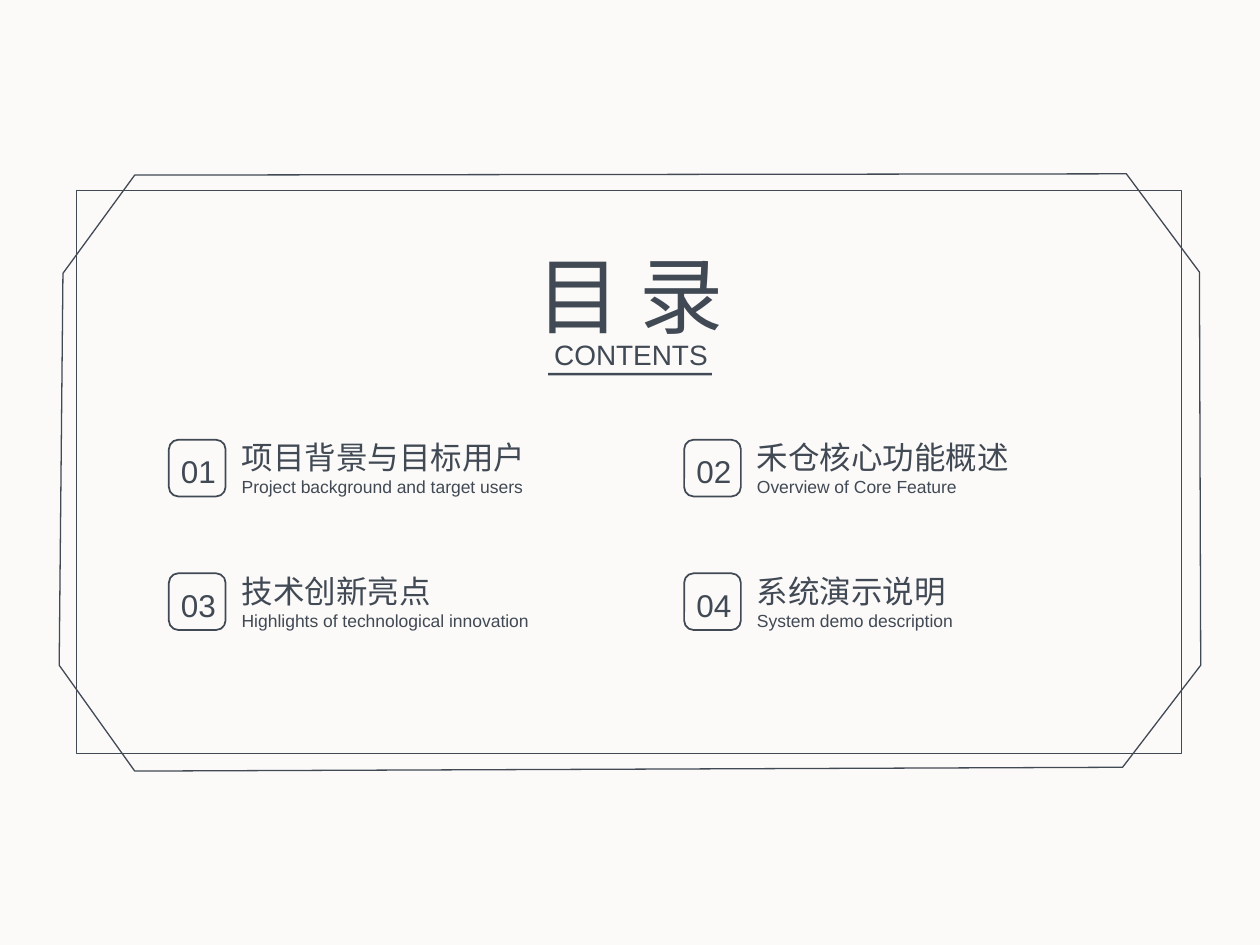
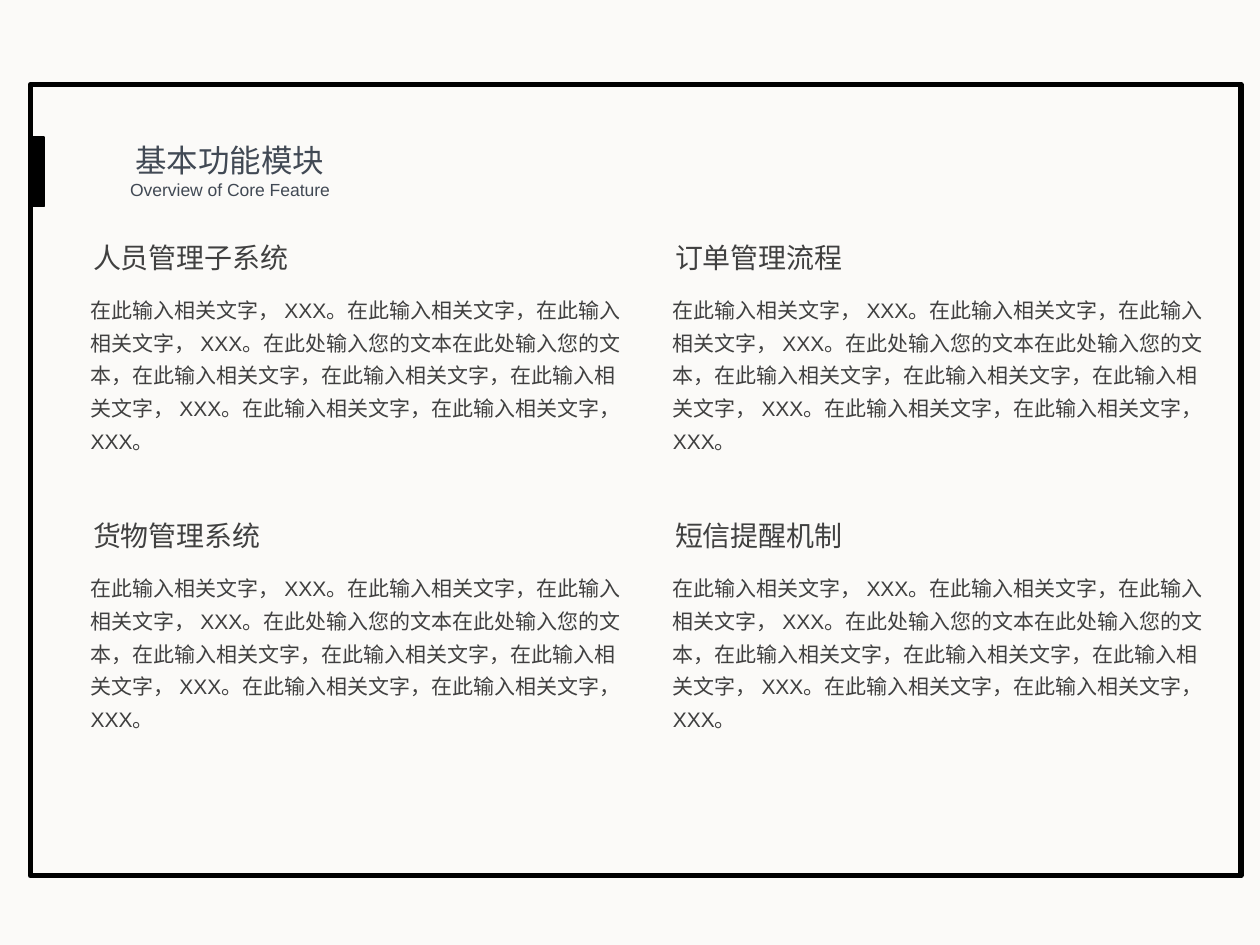
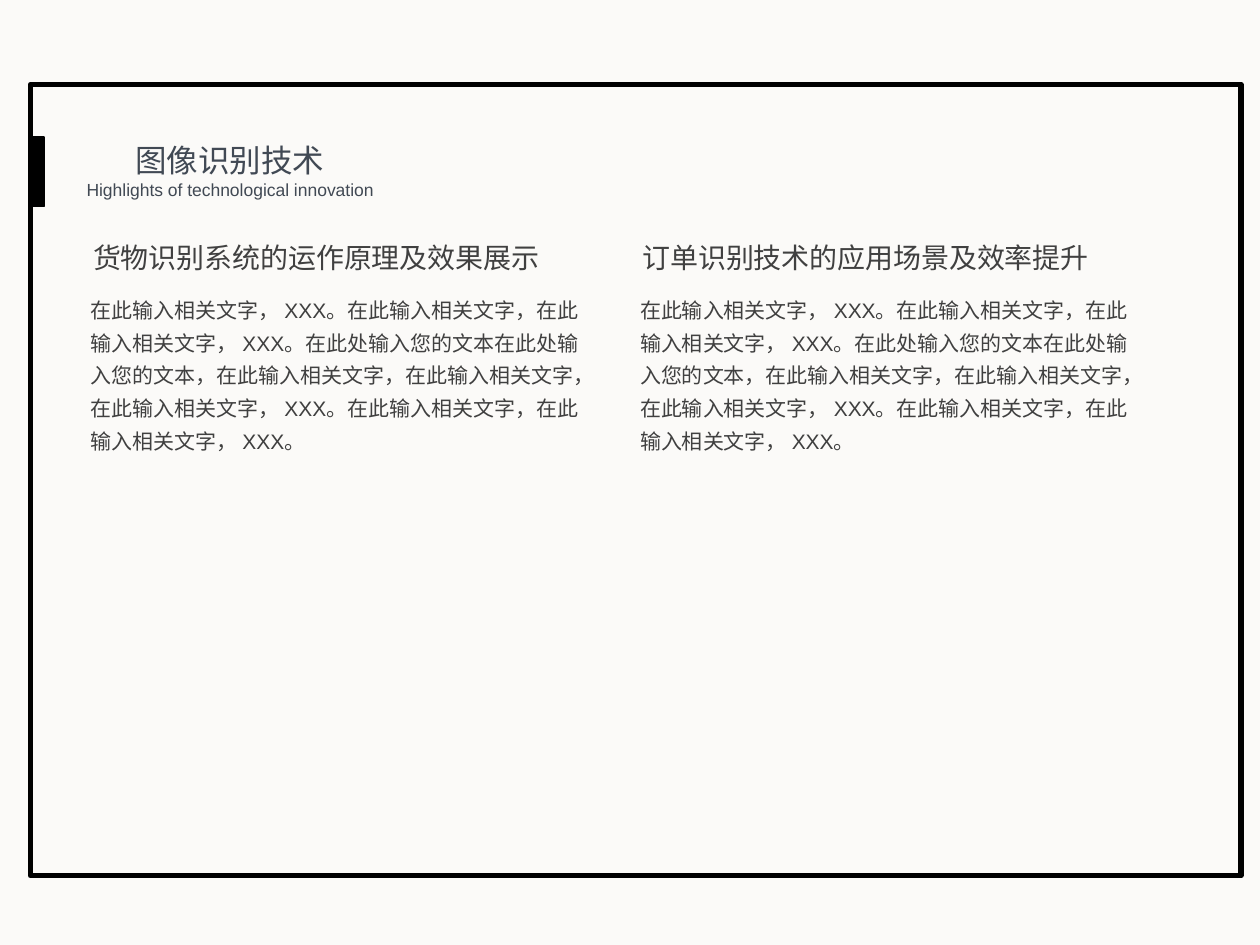
from pptx import Presentation
from pptx.dml.color import RGBColor
from pptx.enum.shapes import MSO_SHAPE
from pptx.enum.text import PP_ALIGN
from pptx.util import Inches, Pt

RECTANGLE = MSO_SHAPE.RECTANGLE
ROUNDED = MSO_SHAPE.ROUNDED_RECTANGLE
LEFT = PP_ALIGN.LEFT
CENTER = PP_ALIGN.CENTER

COLORS = {
    "background": "FBFAF8",
    "slate": "414954",
    "body": "404040",
    "frame": "000000",
}
FONT = "Arial"
BODY_TEXT = (
    "在此输入相关文字， XXX。在此输入相关文字，在此输入相关文字， XXX。"
    "在此处输入您的文本在此处输入您的文本，在此输入相关文字，在此输入相关文字，"
    "在此输入相关文字， XXX。在此输入相关文字，在此输入相关文字， XXX。"
)


def add_text(slide, left, top, width, height, lines, color="slate",
             align=LEFT, spacing=None, margins=(0.1, 0.05)):
    """Add a text box; lines is a list of (text, point size)."""
    box = slide.shapes.add_textbox(Inches(left), Inches(top), Inches(width), Inches(height))
    frame = box.text_frame
    frame.word_wrap = True
    frame.margin_left = frame.margin_right = Inches(margins[0])
    frame.margin_top = frame.margin_bottom = Inches(margins[1])
    for index, (text, size) in enumerate(lines):
        paragraph = frame.add_paragraph() if index else frame.paragraphs[0]
        paragraph.text = text
        paragraph.alignment = align
        paragraph.line_spacing = spacing
        paragraph.font.name = FONT
        paragraph.font.size = Pt(size)
        paragraph.font.color.rgb = RGBColor.from_string(COLORS[color])


def style_shape(shape, fill=None, line=None, line_width=1):
    """Give a shape a flat fill and outline, or none."""
    shape.shadow.inherit = False
    if fill:
        shape.fill.solid()
        shape.fill.fore_color.rgb = RGBColor.from_string(COLORS[fill])
    else:
        shape.fill.background()
    if line:
        shape.line.color.rgb = RGBColor.from_string(COLORS[line])
        shape.line.width = Pt(line_width)
    else:
        shape.line.fill.background()


presentation = Presentation()
presentation.slide_width = Inches(10)
presentation.slide_height = Inches(7.5)
blank_layout = presentation.slide_layouts[6]

# Shared background
background = presentation.slide_master.background.fill
background.solid()
background.fore_color.rgb = RGBColor.from_string(COLORS["background"])

# Contents slide: numbered entries in a two by two grid
slide = presentation.slides.add_slide(blank_layout)
entries = [
    ("项目背景与目标用户", "Project background and target users"),
    ("禾仓核心功能概述", "Overview of Core Feature"),
    ("技术创新亮点", "Highlights of technological innovation"),
    ("系统演示说明", "System demo description"),
]
for index, (heading, subtitle) in enumerate(entries):
    row, column = divmod(index, 2)
    left = 1.34 + column * 4.09
    top = 3.49 + row * 1.06
    badge = slide.shapes.add_shape(ROUNDED, Inches(left), Inches(top), Inches(0.45), Inches(0.45))
    style_shape(badge, line="slate")
    add_text(slide, left - 0.02, top + 0.05, 0.51, 0.4, [(f"{index + 1:02d}", 18)], align=CENTER)
    add_text(slide, left + 0.48, top - 0.06, 3.3, 0.57, [(heading, 18), (subtitle, 10)])

# Contents title and underline
add_text(slide, 4.07, 1.88, 1.86, 0.9, [("目 录", 48)], align=CENTER)
add_text(slide, 4.3, 2.63, 1.45, 0.37, [("CONTENTS", 16)])
underline = slide.shapes.add_shape(RECTANGLE, Inches(4.35), Inches(2.96), Inches(1.3), Inches(0.02))
style_shape(underline, fill="slate")

# Contents frame: cut-corner outline crossed by a rectangle
corners = [(1.07, 1.39), (0.5, 2.17), (0.47, 5.28), (1.07, 6.12),
           (8.91, 6.09), (9.53, 5.28), (9.52, 2.16), (8.94, 1.38)]
points = [(Inches(x), Inches(y)) for x, y in corners]
builder = slide.shapes.build_freeform(*points[0])
builder.add_line_segments(points[1:], close=True)
style_shape(builder.convert_to_shape(), line="slate", line_width=0.75)
inner_frame = slide.shapes.add_shape(RECTANGLE, Inches(0.61), Inches(1.51), Inches(8.77), Inches(4.47))
style_shape(inner_frame, line="slate", line_width=0.75)

# Content slides: title, subtitle, column lefts, body width, section headings
content_slides = [
    ("基本功能模块", "Overview of Core Feature", (0.64, 5.26), 4.48,
     ["人员管理子系统", "订单管理流程", "货物管理系统", "短信提醒机制"]),
    ("图像识别技术", "Highlights of technological innovation", (0.64, 5), 4.15,
     ["货物识别系统的运作原理及效果展示", "订单识别技术的应用场景及效率提升"]),
]
for title, subtitle, column_lefts, body_width, headings in content_slides:
    slide = presentation.slides.add_slide(blank_layout)
    add_text(slide, 0, 1.07, 3.65, 0.57, [(title, 18), (subtitle, 10)], align=CENTER)

    # Sections
    for index, heading in enumerate(headings):
        row, column = divmod(index, 2)
        left = column_lefts[column]
        top = 1.86 + row * 2.21
        add_text(slide, left, top, 4.7, 0.37, [(heading, 16)], color="body")
        add_text(slide, left, top + 0.4, body_width, 1.33, [(BODY_TEXT, 12)],
                 color="body", spacing=1.3, margins=(0.08, 0.04))

    # Frame and title marker
    frame = slide.shapes.add_shape(RECTANGLE, Inches(0.24), Inches(0.67), Inches(9.61), Inches(6.28))
    style_shape(frame, line="frame", line_width=3)
    marker = slide.shapes.add_shape(RECTANGLE, Inches(0.24), Inches(1.09), Inches(0.11), Inches(0.55))
    style_shape(marker, fill="frame", line="frame")

presentation.save("out.pptx")
